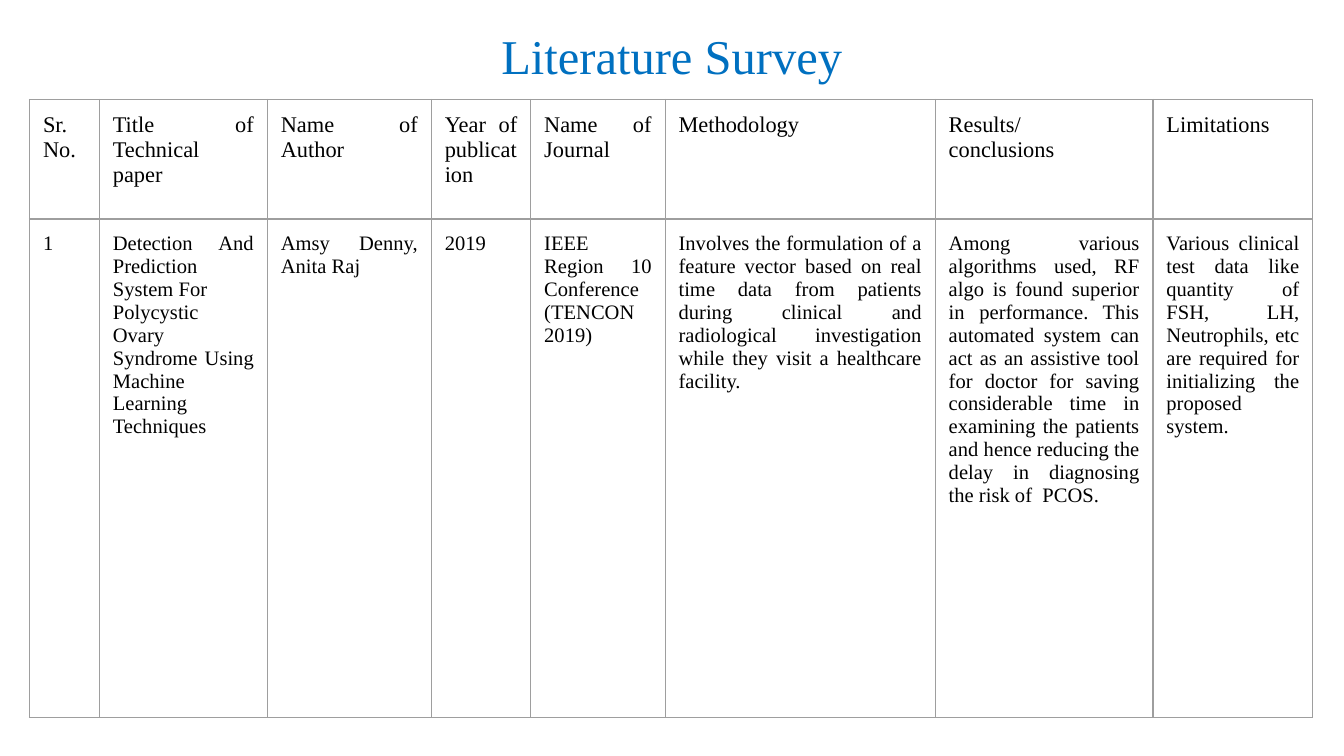
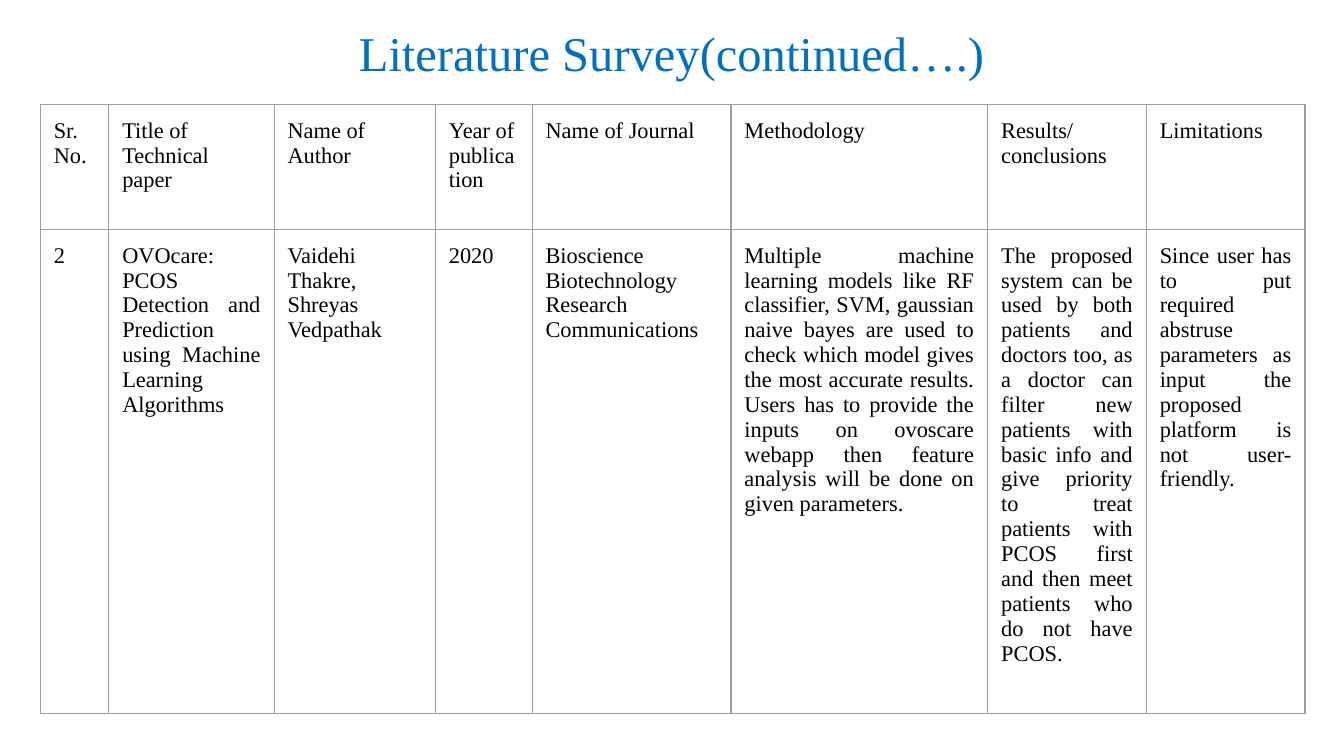
import pptx
import pptx.dml.color
import pptx.enum.text
import pptx.oxml
import pptx.oxml.ns
import pptx.util
from pptx.util import Inches

FONT = "Times New Roman"
COLORS = {"title": "0070C0", "text": "000000", "line": "9E9E9E"}
PAD = 0.1
ALIGN = pptx.enum.text.PP_ALIGN
HEADS = [
    "Sr.\nNo.", "Title of Technical paper", "Name of Author",
    "Year of publication", "Name of Journal", "Methodology",
    "Results/\nconclusions", "Limitations",
]

# One entry per slide
PAGES = [
    {
        "title": "Literature Survey", "top": 0.09,
        "at": (0.22, 0.74),
        "cols": [0.52, 1.25, 1.22, 0.74, 1, 2.01, 1.62, 1.19],
        "rows": [0.89, 3.71], "size": 11, "heads": ALIGN.JUSTIFY,
        "paper": [
            "1",
            "Detection And Prediction System For\n"
            "Polycystic Ovary Syndrome Using Machine\nLearning\nTechniques",
            "Amsy Denny, Anita Raj",
            "2019",
            "IEEE Region 10 Conference (TENCON 2019)",
            "Involves the formulation of a feature vector based on real time "
            "data from patients during clinical and radiological "
            "investigation while they visit a healthcare facility.",
            "Among various algorithms used, RF algo is found superior in "
            "performance. This automated system can act as an assistive tool "
            "for doctor for saving considerable time in examining the "
            "patients and hence reducing the delay in diagnosing the risk of "
            " PCOS.",
            "Various clinical test data like quantity of FSH, LH, "
            "Neutrophils, etc are required for initializing the proposed "
            "system.",
        ],
    },
    {
        "title": "Literature Survey(continued….)", "top": 0.07,
        "at": (0.3, 0.78),
        "cols": [0.51, 1.23, 1.2, 0.72, 1.48, 1.91, 1.18, 1.18],
        "rows": [0.93, 3.21], "size": 12, "heads": ALIGN.LEFT,
        "paper": [
            "2",
            "OVOcare: PCOS Detection and Prediction using Machine Learning "
            "Algorithms",
            "Vaidehi Thakre, Shreyas Vedpathak",
            "2020",
            "Bioscience Biotechnology Research Communications",
            "Multiple machine learning models like RF classifier, SVM, "
            "gaussian naive bayes are used to check which model gives the "
            "most accurate results. Users has to provide the inputs on "
            "ovoscare webapp then feature analysis will be done on given "
            "parameters.",
            "The proposed system can be used by both patients and doctors "
            "too, as a doctor can filter new patients with basic info and "
            "give priority to treat patients with PCOS first and then meet "
            "patients who do not have PCOS.",
            "Since user has to put required abstruse parameters as input the "
            "proposed platform is not user-friendly.",
        ],
    },
]


def write(frame, text, size, color, align):
    """Fill a text frame, one paragraph per line of text."""
    frame.text = text
    frame.word_wrap = True
    for para in frame.paragraphs:
        para.alignment = align
        para.font.name = FONT
        para.font.size = pptx.util.Pt(size)
        para.font.color.rgb = pptx.dml.color.RGBColor.from_string(COLORS[color])


def pad(box):
    """Give a cell or text frame equal margins."""
    for side in ("left", "top", "right", "bottom"):
        setattr(box, f"margin_{side}", Inches(PAD))


def border(cell):
    """Draw a thin line on all four sides, ahead of the cell's fill."""
    props = cell._tc.get_or_add_tcPr()
    for spot, side in enumerate(("lnL", "lnR", "lnT", "lnB")):
        props.insert(spot, pptx.oxml.parse_xml(
            f'<a:{side} {pptx.oxml.ns.nsdecls("a")} w="{pptx.util.Pt(0.75)}">'
            f'<a:solidFill><a:srgbClr val="{COLORS["line"]}"/></a:solidFill>'
            f'</a:{side}>'))


def add_title(slide, text, top):
    box = slide.shapes.add_textbox(
        Inches(0.34), Inches(top), Inches(9.32), Inches(0.5))
    pad(box.text_frame)
    write(box.text_frame, text, 26, "title", ALIGN.CENTER)


def add_grid(slide, page):
    left, top = page["at"]
    cols, rows = page["cols"], page["rows"]
    table = slide.shapes.add_table(
        len(rows), len(cols), Inches(left), Inches(top),
        Inches(sum(cols)), Inches(sum(rows))).table
    table.first_row = table.horz_banding = False
    for col, width in zip(table.columns, cols):
        col.width = Inches(width)
    for row, height in zip(table.rows, rows):
        row.height = Inches(height)

    # Heading row, then the paper
    lines = [(HEADS, 12, page["heads"]),
             (page["paper"], page["size"], ALIGN.JUSTIFY)]
    for row, (texts, size, align) in zip(table.rows, lines):
        for cell, text in zip(row.cells, texts):
            pad(cell)
            cell.fill.background()
            border(cell)
            write(cell.text_frame, text, size, "text", align)


def main():
    deck = pptx.Presentation()
    # Widescreen, 16 to 9
    deck.slide_width = Inches(10)
    deck.slide_height = deck.slide_width * 9 // 16
    for page in PAGES:
        slide = deck.slides.add_slide(deck.slide_layouts[6])
        add_title(slide, page["title"], page["top"])
        add_grid(slide, page)
    deck.save("out.pptx")


if __name__ == "__main__":
    main()
